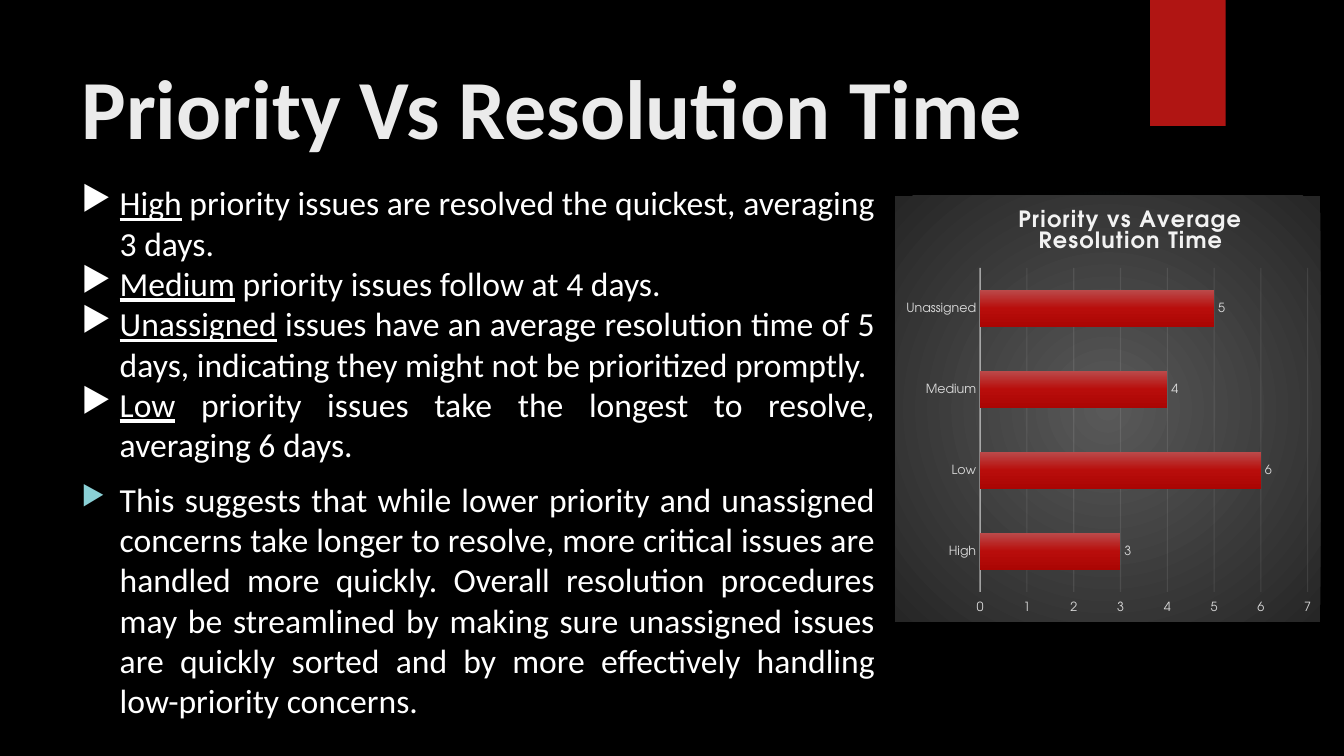
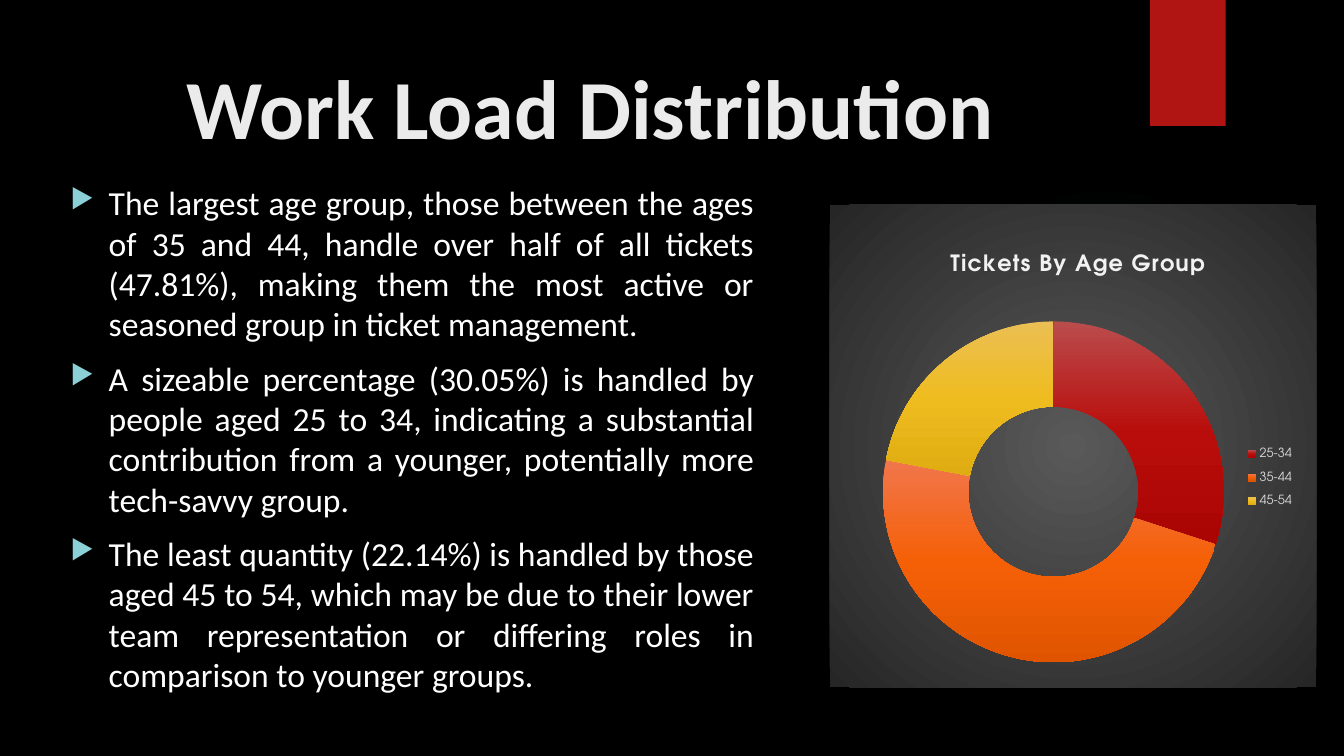
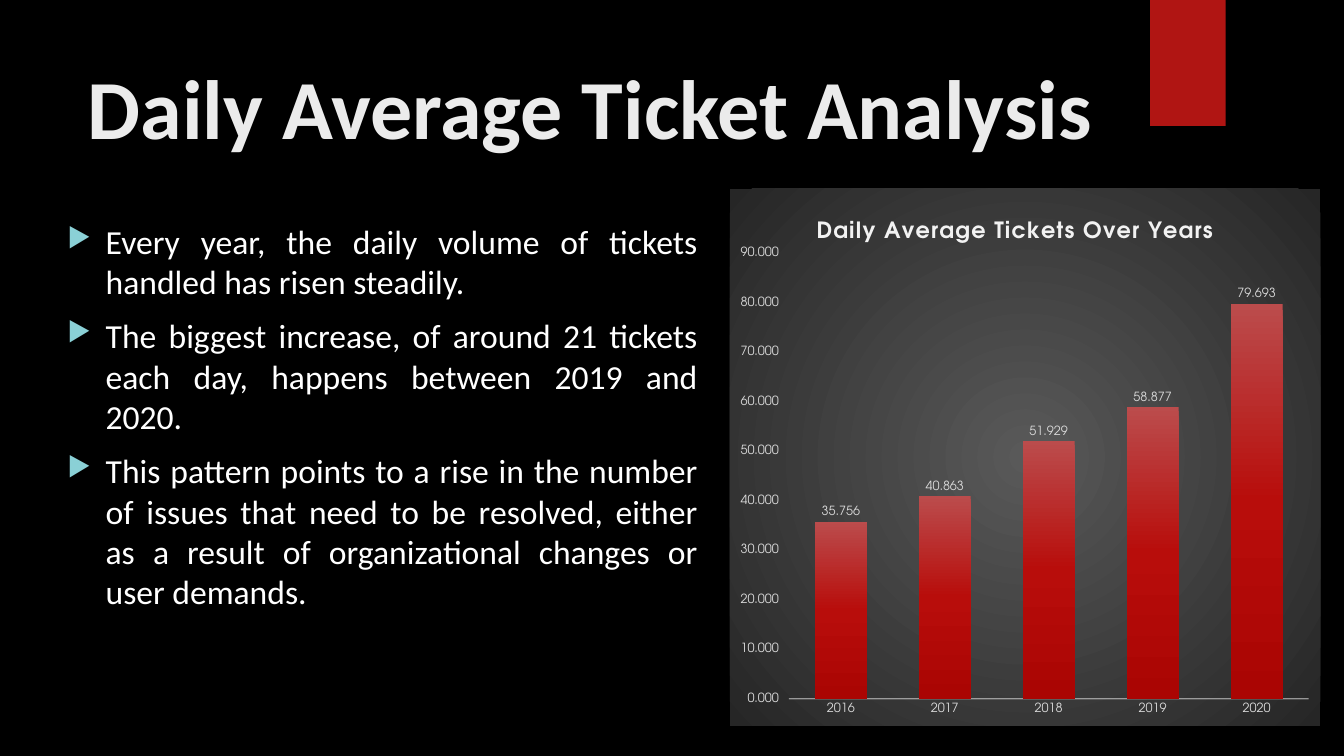
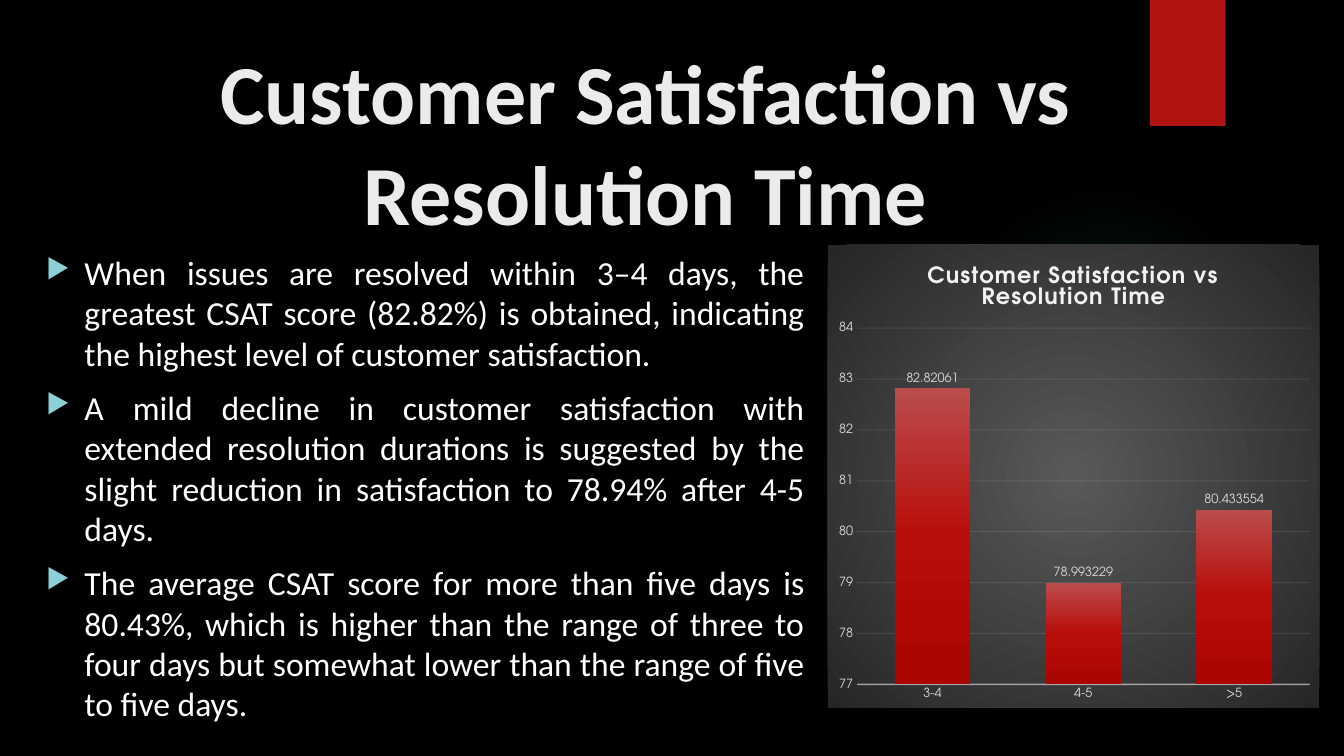
from dataclasses import dataclass

from lxml import etree
from pptx import Presentation
from pptx.chart.data import CategoryChartData
from pptx.dml.color import RGBColor
from pptx.enum.chart import XL_CHART_TYPE as ChartType
from pptx.enum.chart import XL_LABEL_POSITION as LabelPosition
from pptx.enum.chart import XL_LEGEND_POSITION as LegendPosition
from pptx.enum.chart import XL_TICK_MARK as TickMark
from pptx.enum.shapes import MSO_SHAPE as Shape
from pptx.enum.text import MSO_ANCHOR as Anchor
from pptx.enum.text import PP_ALIGN as Align
from pptx.oxml import parse_xml
from pptx.oxml.ns import nsdecls, qn
from pptx.util import Inches, Pt


@dataclass(frozen=True)
class Theme:
    background: str = "000000"
    accent: str = "B01513"
    heading: str = "EBEBEB"
    body: str = "FFFFFF"
    bullet: str = "8AD0D6"
    chart_title: str = "F2F2F2"
    chart_text: str = "D9D9D9"
    rule: str = "F2F2F2"
    red: tuple = ((0, "BB4C4C"), (50, "B80D0B"), (100, "AA0503"))
    orange: tuple = ((0, "F1764C"), (50, "F56007"), (100, "E05400"))
    yellow: tuple = ((0, "EBBF53"), (50, "EFBC20"), (100, "DFAC11"))
    panel: tuple = ((0, "595959"), (100, "262626"))
    glow: tuple = ((0, "50B9C1", 7), (36, "50B9C1", 6), (69, "50B9C1", 0))
    text_font: str = "Calibri"
    bullet_font: str = "OpenSymbol"
    chart_font: str = "TeX Gyre Adventor"
    heading_size: int = 60
    body_size: int = 24
    chart_title_size: int = 16
    chart_size: int = 10
    label_size: int = 9


THEME = Theme()


def rgb(color):
    return RGBColor.from_string(color)


def inches(box):
    return [Inches(length) for length in box]


def style(font, name, size, color, bold=False):
    font.name = name
    font.size = Pt(size)
    font.bold = bold
    font.color.rgb = rgb(color)


def style_label(font):
    style(font, THEME.chart_font, THEME.label_size, THEME.chart_text)


def gradient(stops, radial=False):
    grad = parse_xml(f'<a:gradFill {nsdecls("a")} rotWithShape="1"><a:gsLst/></a:gradFill>')
    for position, color, *opacity in stops:
        stop = etree.SubElement(grad[0], qn("a:gs"), pos=str(position * 1000))
        tint = etree.SubElement(stop, qn("a:srgbClr"), val=color)
        for percent in opacity:
            etree.SubElement(tint, qn("a:alpha"), val=str(percent * 1000))
    if radial:
        center = etree.SubElement(grad, qn("a:path"), path="circle")
        etree.SubElement(center, qn("a:fillToRect"), l="50000", t="50000", r="50000", b="50000")
    else:
        etree.SubElement(grad, qn("a:lin"), ang="5400000", scaled="0")
    return grad


def fill_gradient(part, properties, stops, radial=False):
    part.fill.background()
    properties.replace(properties.find(qn("a:noFill")), gradient(stops, radial))


def paint_data(item, stops):
    look = item.format
    look.line.fill.background()
    fill_gradient(look, look._element.get_or_add_spPr(), stops)


def faint_line(line, width, opacity):
    line.width = Pt(width)
    line.color.rgb = rgb(THEME.rule)
    tint = line._get_or_add_ln().find(".//" + qn("a:srgbClr"))
    etree.SubElement(tint, qn("a:alpha"), val=str(opacity * 1000))


def add_backdrop(slide):
    slide.background.fill.solid()
    slide.background.fill.fore_color.rgb = rgb(THEME.background)
    glow = slide.shapes.add_shape(Shape.OVAL, *inches((9.41, 1.83, 3.08, 3.08)))
    fill_gradient(glow, glow.element.spPr, THEME.glow, radial=True)
    ribbon = slide.shapes.add_shape(Shape.RECTANGLE, *inches((11.41, 0, 0.75, 1.25)))
    ribbon.fill.solid()
    ribbon.fill.fore_color.rgb = rgb(THEME.accent)
    for ornament in (glow, ribbon):
        ornament.line.fill.background()
        ornament.shadow.inherit = False


def add_frame(slide, box):
    frame = slide.shapes.add_textbox(*inches(box)).text_frame
    frame.word_wrap = True
    frame.vertical_anchor = Anchor.TOP
    return frame


def add_heading(slide, text, box, align):
    paragraph = add_frame(slide, box).paragraphs[0]
    paragraph.alignment = align
    run = paragraph.add_run()
    run.text = text
    style(run.font, THEME.text_font, THEME.heading_size, THEME.heading, bold=True)


def set_bullet(paragraph, color, percent):
    properties = paragraph._p.get_or_add_pPr()
    properties.set("marL", str(Inches(0.38)))
    properties.set("indent", str(-Inches(0.38)))
    tint = etree.SubElement(properties, qn("a:buClr"))
    etree.SubElement(tint, qn("a:srgbClr"), val=color)
    etree.SubElement(properties, qn("a:buSzPct"), val=str(percent * 1000))
    etree.SubElement(properties, qn("a:buFont"), typeface=THEME.bullet_font)
    etree.SubElement(properties, qn("a:buChar"), char="▶")


def add_points(slide, points, box):
    frame = add_frame(slide, box)
    for index, point in enumerate(points):
        paragraph = frame.add_paragraph() if index else frame.paragraphs[0]
        paragraph.alignment = Align.JUSTIFY
        keyword, rest = point if isinstance(point, tuple) else ("", point)
        paragraph.space_before = Pt(0 if keyword else 10)
        if keyword:
            set_bullet(paragraph, THEME.body, 100)
        else:
            set_bullet(paragraph, THEME.bullet, 80)
        for text, underlined in ((keyword, True), (rest, False)):
            if text:
                run = paragraph.add_run()
                run.text = text
                style(run.font, THEME.text_font, THEME.body_size, THEME.body)
                run.font.underline = underlined


def manual_layout(element, after, place, inner=False):
    old = element.find(qn("c:layout"))
    if old is not None:
        element.remove(old)
    layout = etree.Element(qn("c:layout"))
    manual = etree.SubElement(layout, qn("c:manualLayout"))
    if inner:
        etree.SubElement(manual, qn("c:layoutTarget"), val="inner")
    for name in ("xMode", "yMode"):
        etree.SubElement(manual, qn(f"c:{name}"), val="edge")
    for name, share in zip("xywh", place):
        etree.SubElement(manual, qn(f"c:{name}"), val=str(share))
    if after is None:
        element.insert(0, layout)
    else:
        after.addnext(layout)


def add_chart(slide, kind, title, data, box, plot_place, title_place=None, number_format="General"):
    chart_data = CategoryChartData(number_format=number_format)
    chart_data.categories = list(data)
    chart_data.add_series("Series 1", list(data.values()))
    chart = slide.shapes.add_chart(kind, *inches(box), chart_data).chart
    style(chart.font, THEME.chart_font, THEME.chart_size, THEME.body)
    chart.has_legend = False

    root = chart.element.find(qn("c:chart"))
    panel = etree.Element(qn("c:spPr"))
    panel.append(gradient(THEME.panel, radial=True))
    border = etree.SubElement(panel, qn("a:ln"))
    etree.SubElement(border, qn("a:noFill"))
    root.addnext(panel)

    chart.has_title = True
    run = chart.chart_title.text_frame.paragraphs[0].add_run()
    run.text = title
    style(run.font, THEME.chart_font, THEME.chart_title_size, THEME.chart_title, bold=True)
    run._r.get_or_add_rPr().set("spc", "100")
    chart.chart_title.include_in_layout = False
    if title_place:
        heading = root.find(qn("c:title"))
        manual_layout(heading, heading.find(qn("c:tx")), title_place)
    manual_layout(root.find(qn("c:plotArea")), None, plot_place, inner=True)
    return chart


def add_bar_chart(slide, kind, title, data, box, plot_place, scale, title_place=None,
                  number_format="General", axis_format="General", gap=100, overlap=-24,
                  grid=True, value_ticks=TickMark.NONE):
    chart = add_chart(slide, kind, title, data, box, plot_place, title_place, number_format)
    plot = chart.plots[0]
    plot.vary_by_categories = False
    plot.gap_width = gap
    plot.overlap = overlap
    paint_data(plot.series[0], THEME.red)

    plot.has_data_labels = True
    labels = plot.data_labels
    labels.show_value = True
    labels.position = LabelPosition.OUTSIDE_END
    labels.number_format = number_format
    labels.number_format_is_linked = False
    style_label(labels.font)

    categories, values = chart.category_axis, chart.value_axis
    for axis, ticks in ((categories, TickMark.NONE), (values, value_ticks)):
        axis.major_tick_mark = ticks
        axis.minor_tick_mark = TickMark.NONE
        style_label(axis.tick_labels.font)
    faint_line(categories.format.line, 1, 54)
    values.format.line.fill.background()
    values.minimum_scale, values.maximum_scale, values.major_unit = scale
    values.tick_labels.number_format = axis_format
    values.tick_labels.number_format_is_linked = False
    values.has_major_gridlines = grid
    if grid:
        faint_line(values.major_gridlines.format.line, 0.75, 10)


def add_ring_chart(slide, title, data, box, plot_place, title_place, legend_place):
    chart = add_chart(slide, ChartType.DOUGHNUT, title, data, box, plot_place, title_place)
    plot = chart.plots[0]
    plot.vary_by_categories = True
    plot.has_data_labels = False
    chart.element.find(".//" + qn("c:holeSize")).set("val", "75")
    for index, stops in enumerate((THEME.red, THEME.orange, THEME.yellow)):
        paint_data(plot.series[0].points[index], stops)
    chart.has_legend = True
    chart.legend.position = LegendPosition.RIGHT
    chart.legend.include_in_layout = False
    style_label(chart.legend.font)
    legend = chart.element.find(".//" + qn("c:legend"))
    manual_layout(legend, legend.find(qn("c:legendPos")), legend_place)


def add_slide(deck, heading, points, points_box, heading_box=(0.71, 0.5, 10.29, 1.53),
              align=Align.CENTER):
    slide = deck.slides.add_slide(deck.slide_layouts[6])
    add_backdrop(slide)
    add_heading(slide, heading, heading_box, align)
    add_points(slide, points, points_box)
    return slide


def add_priority_slide(deck):
    slide = add_slide(deck, "Priority Vs Resolution Time", [
        ("High", " priority issues are resolved the quickest, averaging 3 days."),
        ("Medium", " priority issues follow at 4 days."),
        ("Unassigned", " issues have an average resolution time of 5 days, indicating they "
                       "might not be prioritized promptly."),
        ("Low", " priority issues take the longest to resolve, averaging 6 days."),
        "This suggests that while lower priority and unassigned concerns take longer to "
        "resolve, more critical issues are handled more quickly. Overall resolution "
        "procedures may be streamlined by making sure unassigned issues are quickly sorted "
        "and by more effectively handling low-priority concerns.",
    ], (0.71, 1.76, 8.07, 4.42), align=Align.LEFT)
    add_bar_chart(slide, ChartType.BAR_CLUSTERED, "Priority vs Average Resolution Time",
                  {"High": 3, "Low": 6, "Medium": 4, "Unassigned": 5},
                  (8.88, 1.94, 4.22, 4.23), (0.2, 0.17, 0.77, 0.76), (0, 7, 1),
                  title_place=(0.28, 0.02), number_format="0", axis_format="0", gap=115,
                  overlap=-20, value_ticks=TickMark.OUTSIDE)


def add_workload_slide(deck):
    slide = add_slide(deck, "Work Load Distribution", [
        "The largest age group, those between the ages of 35 and 44, handle over half of all "
        "tickets (47.81%), making them the most active or seasoned group in ticket management.",
        "A sizeable percentage (30.05%) is handled by people aged 25 to 34, indicating a "
        "substantial contribution from a younger, potentially more tech-savvy group.",
        "The least quantity (22.14%) is handled by those aged 45 to 54, which may be due to "
        "their lower team representation or differing roles in comparison to younger groups.",
    ], (0.6, 1.76, 6.98, 4.59))
    add_ring_chart(slide, "Tickets By Age Group", {"25-34": 30, "35-44": 48, "45-54": 22},
                   (8.23, 2.03, 4.83, 4.79), (0.11, 0.23, 0.7, 0.73), (0.24, 0.09),
                   (0.85, 0.48, 0.11, 0.17))


def add_daily_slide(deck):
    slide = add_slide(deck, "Daily Average Ticket Analysis", [
        "Every year, the daily volume of tickets handled has risen steadily.",
        "The biggest increase, of around 21 tickets each day, happens between 2019 and 2020.",
        "This pattern points to a rise in the number of issues that need to be resolved, "
        "either as a result of organizational changes or user demands.",
    ], (0.57, 2.14, 6.45, 4.59))
    add_bar_chart(slide, ChartType.COLUMN_CLUSTERED, "Daily Average Tickets Over Years",
                  {"2016": 35.756, "2017": 40.863, "2018": 51.929, "2019": 58.877,
                   "2020": 79.693},
                  (7.24, 1.87, 5.86, 5.33), (0.1, 0.12, 0.88, 0.83), (0, 90, 10),
                  title_place=(0.14, 0.05), number_format="0.000", axis_format="0.000",
                  grid=False, value_ticks=TickMark.OUTSIDE)


def add_satisfaction_slide(deck):
    slide = add_slide(deck, "Customer Satisfaction vs Resolution Time", [
        "When issues are resolved within 3–4 days, the greatest CSAT score (82.82%) is "
        "obtained, indicating the highest level of customer satisfaction.",
        "A mild decline in customer satisfaction with extended resolution durations is "
        "suggested by the slight reduction in satisfaction to 78.94% after 4-5 days.",
        "The average CSAT score for more than five days is 80.43%, which is higher than the "
        "range of three to four days but somewhat lower than the range of five to five days.",
    ], (0.36, 2.45, 7.72, 4.59), heading_box=(0.71, 0.35, 11.39, 1.68))
    add_bar_chart(slide, ChartType.COLUMN_CLUSTERED, "Customer Satisfaction vs Resolution Time",
                  {"3-4": 82.82061, "4-5": 78.993229, ">5": 80.433554},
                  (8.21, 2.43, 4.88, 4.59), (0.06, 0.18, 0.92, 0.77), (77, 84, 1))


def main():
    deck = Presentation()
    deck.slide_width, deck.slide_height = inches((7.5 * 16 / 9, 7.5))
    add_priority_slide(deck)
    add_workload_slide(deck)
    add_daily_slide(deck)
    add_satisfaction_slide(deck)
    deck.save("out.pptx")


if __name__ == "__main__":
    main()
